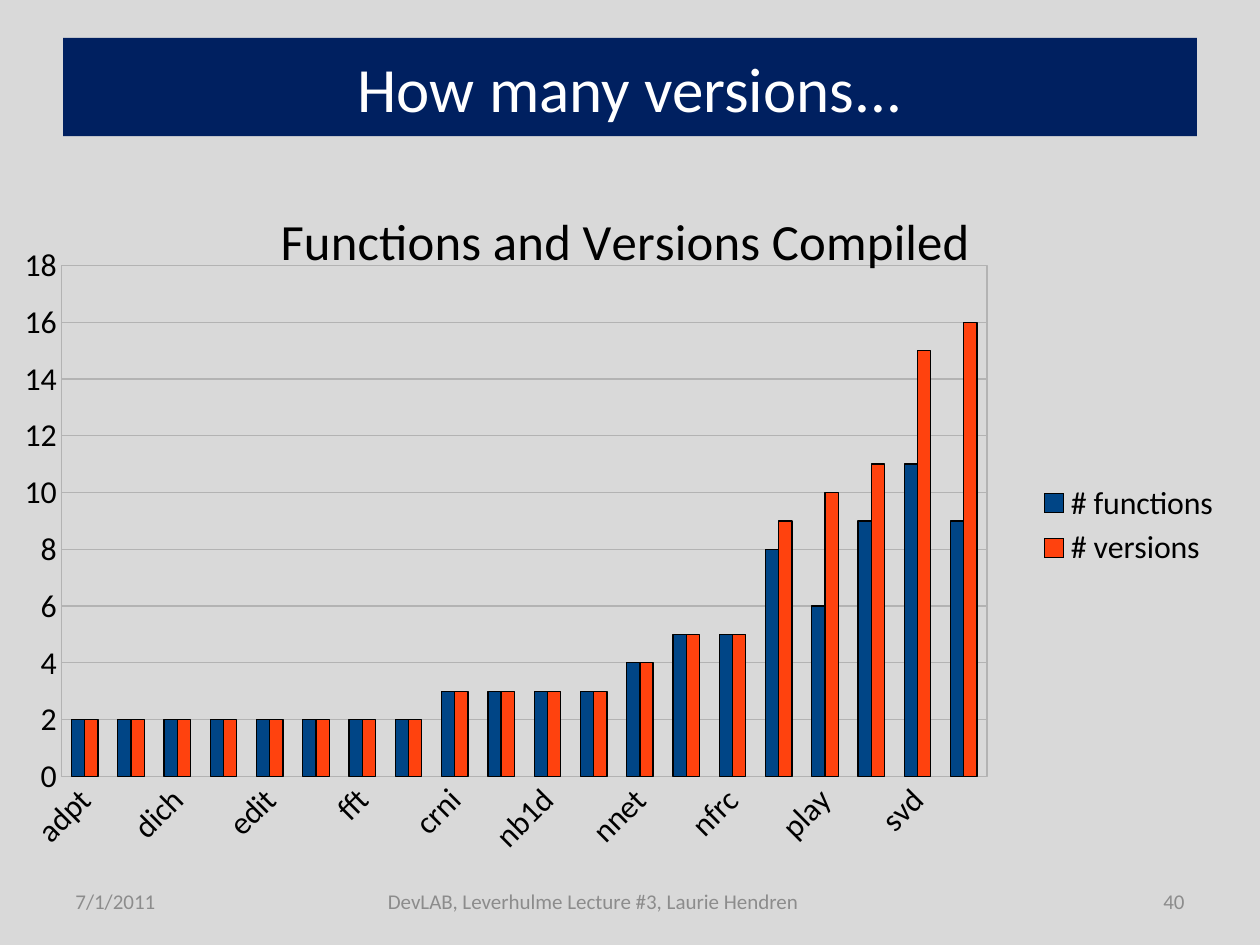
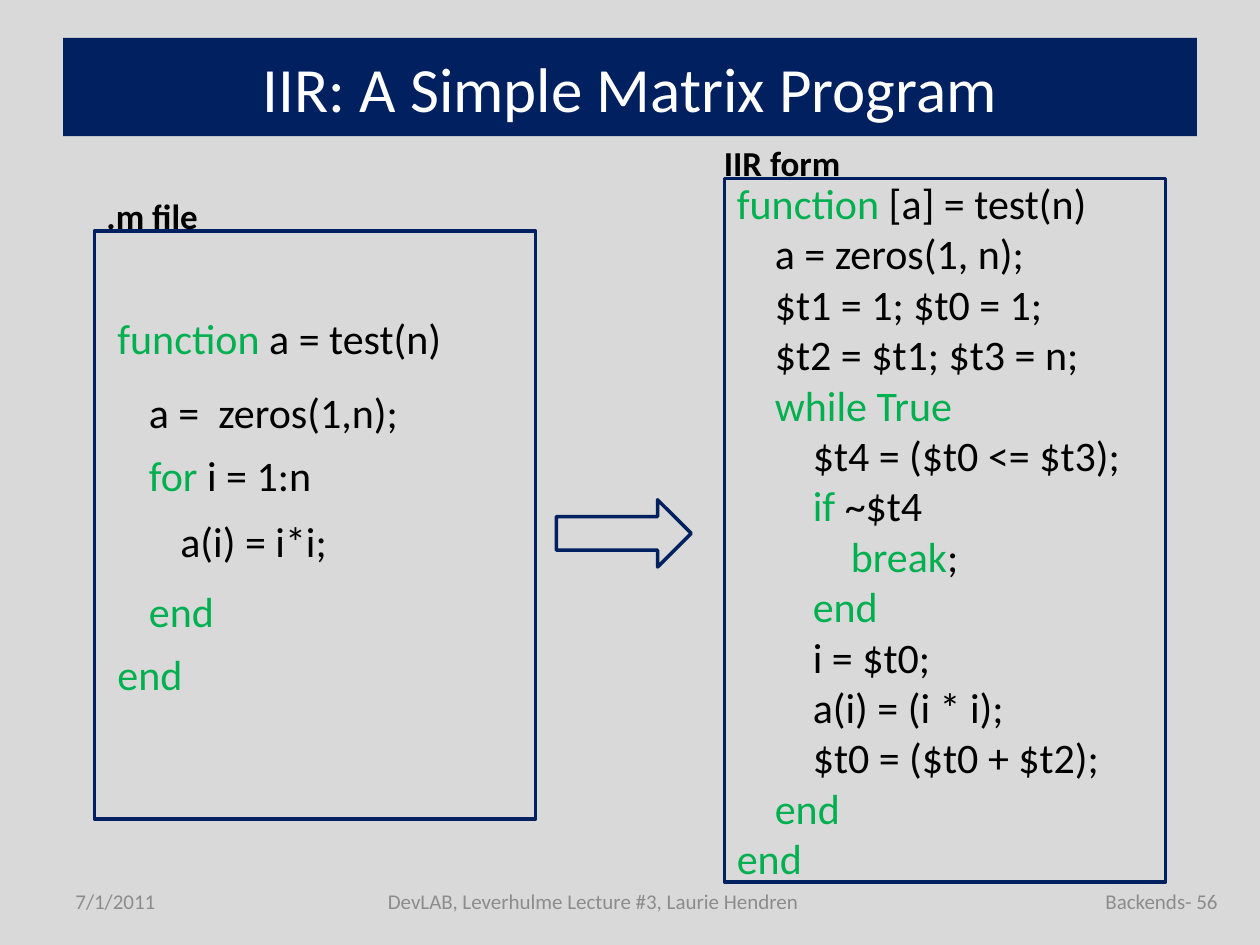
from lxml import etree
from pptx import Presentation
from pptx.chart.data import CategoryChartData
from pptx.dml.color import RGBColor
from pptx.enum.chart import XL_CHART_TYPE, XL_LEGEND_POSITION, XL_TICK_MARK
from pptx.enum.shapes import MSO_SHAPE
from pptx.enum.text import MSO_ANCHOR, MSO_AUTO_SIZE, PP_ALIGN
from pptx.oxml.ns import qn
from pptx.util import Pt

LEFT, CENTER, RIGHT = PP_ALIGN.LEFT, PP_ALIGN.CENTER, PP_ALIGN.RIGHT
MIDDLE = MSO_ANCHOR.MIDDLE
NO_TICK = XL_TICK_MARK.NONE
RECT, ARROW = MSO_SHAPE.RECTANGLE, MSO_SHAPE.RIGHT_ARROW

FONT = "Calibri"
INDENT = 21.7
HEX = {"background": "D9D9D9", "navy": "002060", "white": "FFFFFF", "black": "000000",
       "footer": "8C8C8C", "keyword": "00B050", "grid": "B3B3B3",
       "functions": "004586", "versions": "FF420E"}
RGB = {name: RGBColor.from_string(value) for name, value in HEX.items()}


def write(sp, lines, size=24, color="black", bold=False, align=LEFT):
    """Fill sp with lines, each a string or (indent level, keyword, rest)."""
    tf = sp.text_frame
    tf.word_wrap = True
    tf.auto_size = MSO_AUTO_SIZE.NONE
    tf.vertical_anchor = MIDDLE
    for i, line in enumerate(lines):
        level, keyword, rest = (0, "", line) if isinstance(line, str) else line
        p = tf.add_paragraph() if i else tf.paragraphs[0]
        p.alignment = align
        if level:
            p._p.get_or_add_pPr().set("marL", str(Pt(level * INDENT)))
        for part, part_color in ((keyword, "keyword"), (rest, color)):
            if part:
                r = p.add_run()
                r.text = part
                r.font.name, r.font.size, r.font.bold = FONT, Pt(size), bold
                r.font.color.rgb = RGB[part_color]


def place(parent, index, **fractions):
    """Give a chart part a manual layout, as fractions of the chart."""
    for old in parent.findall(qn("c:layout")):
        parent.remove(old)
    layout = etree.Element(qn("c:layout"))
    manual = etree.SubElement(layout, qn("c:manualLayout"))
    settings = {"xMode": "edge", "yMode": "edge", **fractions}
    if "w" in fractions:
        settings = {"layoutTarget": "outer", **settings}
    for tag, value in settings.items():
        etree.SubElement(manual, qn("c:" + tag)).set("val", str(value))
    parent.insert(index, layout)


prs = Presentation()
prs.slide_width, prs.slide_height = Pt(720), Pt(540)
fill = prs.slide_master.background.fill
fill.solid()
fill.fore_color.rgb = RGB["background"]

# Title band and footers of both slides
slides = []
for title, number, number_left, number_width in (
        ("How many versions...", "40", 606, 78),
        ("IIR: A Simple Matrix Program", "Backends- 56", 624, 79)):
    s = prs.slides.add_slide(prs.slide_layouts[5])
    slides.append(s)
    sp = s.shapes.title
    sp.left, sp.top, sp.width, sp.height = Pt(36), Pt(21.6), Pt(648), Pt(56.2)
    sp.fill.solid()
    sp.fill.fore_color.rgb = RGB["navy"]
    write(sp, [title], size=36, color="white", align=CENTER)
    for text, left, width, align in (
            ("7/1/2011", 36, 84, LEFT),
            ("DevLAB, Leverhulme Lecture #3, Laurie Hendren", 144, 390, CENTER),
            (number, number_left, number_width, RIGHT)):
        sp = s.shapes.add_textbox(Pt(left), Pt(500.4), Pt(width), Pt(28.8))
        write(sp, [text], size=12, color="footer", align=align)

chart_slide, code_slide = slides

# Slide 1: functions and versions per benchmark
data = CategoryChartData()
data.categories = ("adpt clos dich diff edit fdtd fft fiff crni mbrt "
                   "nb1d nb3d nnet capr nfrc schr play sdku svd beul").split()
shared_counts = [2] * 8 + [3] * 4 + [4, 5, 5]
data.add_series("# functions", shared_counts + [8, 6, 9, 11, 9])
data.add_series("# versions", shared_counts + [9, 10, 11, 15, 16])
chart = chart_slide.shapes.add_chart(XL_CHART_TYPE.COLUMN_CLUSTERED, Pt(0), Pt(95.8),
                                     Pt(705), Pt(409), data).chart
chart.font.name, chart.font.size = FONT, Pt(18.2)
chart.font.color.rgb = RGB["black"]

chart.has_title = True
p = chart.chart_title.text_frame.paragraphs[0]
r = p.add_run()
r.text = "Functions and Versions Compiled"
r.font.name, r.font.size, r.font.bold = FONT, Pt(29), False
r.font.color.rgb = RGB["black"]
place(chart.chart_title._element, 1, x=0.22, y=0.04)

chart.has_legend = True
chart.legend.position = XL_LEGEND_POSITION.RIGHT
chart.legend.include_in_layout = False
chart.legend.font.name, chart.legend.font.size = FONT, Pt(18.2)

plot = chart.plots[0]
plot.gap_width, plot.overlap = 150, 0
plot.vary_by_categories = False
for series, color in zip(plot.series, ("functions", "versions")):
    series.format.fill.solid()
    series.format.fill.fore_color.rgb = RGB[color]
    series.format.line.color.rgb = RGB["black"]
    series.format.line.width = Pt(0.75)

value_axis, category_axis = chart.value_axis, chart.category_axis
value_axis.minimum_scale, value_axis.maximum_scale = 0, 18
value_axis.major_unit = 2
value_axis.has_major_gridlines = True
for axis in (value_axis, category_axis):
    axis.major_tick_mark = axis.minor_tick_mark = NO_TICK
    axis.tick_labels.font.size = Pt(18.2)
for line in (value_axis.format.line, category_axis.format.line,
             value_axis.major_gridlines.format.line):
    line.color.rgb = RGB["grid"]
    line.width = Pt(0.75)
category_axis._element.find(qn("c:txPr")).find(qn("a:bodyPr")).set("rot", "-2700000")

plot_area = chart._chartSpace.chart.plotArea
place(plot_area, 0, x=0.02, y=0.11, w=0.78, h=0.85)
border = etree.SubElement(etree.SubElement(plot_area, qn("c:spPr")), qn("a:ln"), w=str(Pt(0.75)))
border_fill = etree.SubElement(border, qn("a:solidFill"))
etree.SubElement(border_fill, qn("a:srgbClr"), val=HEX["grid"])

# Slide 2: source file, arrow, IIR form
iir_lines = [
    (0, "function", " [a] = test(n)"),
    (1, "", "a = zeros(1, n);"),
    (1, "", "$t1 = 1; $t0 = 1;"),
    (1, "", "$t2 = $t1; $t3 = n;"),
    (1, "while True", ""),
    (2, "", "$t4 = ($t0 <= $t3);"),
    (2, "if", " ~$t4"),
    (3, "break", ";"),
    (2, "end", ""),
    (2, "", "i = $t0;"),
    (2, "", "a(i) = (i * i);"),
    (2, "", "$t0 = ($t0 + $t2);"),
    (1, "end", ""),
    (0, "end", ""),
]
for shape, left, top, width, height, lines in (
        (RECT, 54, 132, 252, 336, []),
        (RECT, 414, 102, 252, 402, iir_lines),
        (ARROW, 318, 285.6, 77, 38.4, [])):
    sp = code_slide.shapes.add_shape(shape, Pt(left), Pt(top), Pt(width), Pt(height))
    sp.shadow.inherit = False
    sp.fill.background()
    sp.line.color.rgb = RGB["navy"]
    sp.line.width = Pt(2)
    write(sp, lines)

for heading, left, top, width in ((".m file", 48, 108, 78), ("IIR form", 396, 78, 102)):
    sp = code_slide.shapes.add_textbox(Pt(left), Pt(top), Pt(width), Pt(30))
    write(sp, [heading], size=20, bold=True, align=CENTER)

for level, top, keyword, rest in (
        (0, 172, "function", " a = test(n)"),
        (1, 214, "", "a =  zeros(1,n);"),
        (1, 250, "for ", "i = 1:n"),
        (2, 288, "", "a(i) = i*i;"),
        (1, 328, "end", ""),
        (0, 364, "end", "")):
    sp = code_slide.shapes.add_textbox(Pt(60 + 18 * level), Pt(top), Pt(210), Pt(42))
    write(sp, [(0, keyword, rest)])

prs.save("out.pptx")
